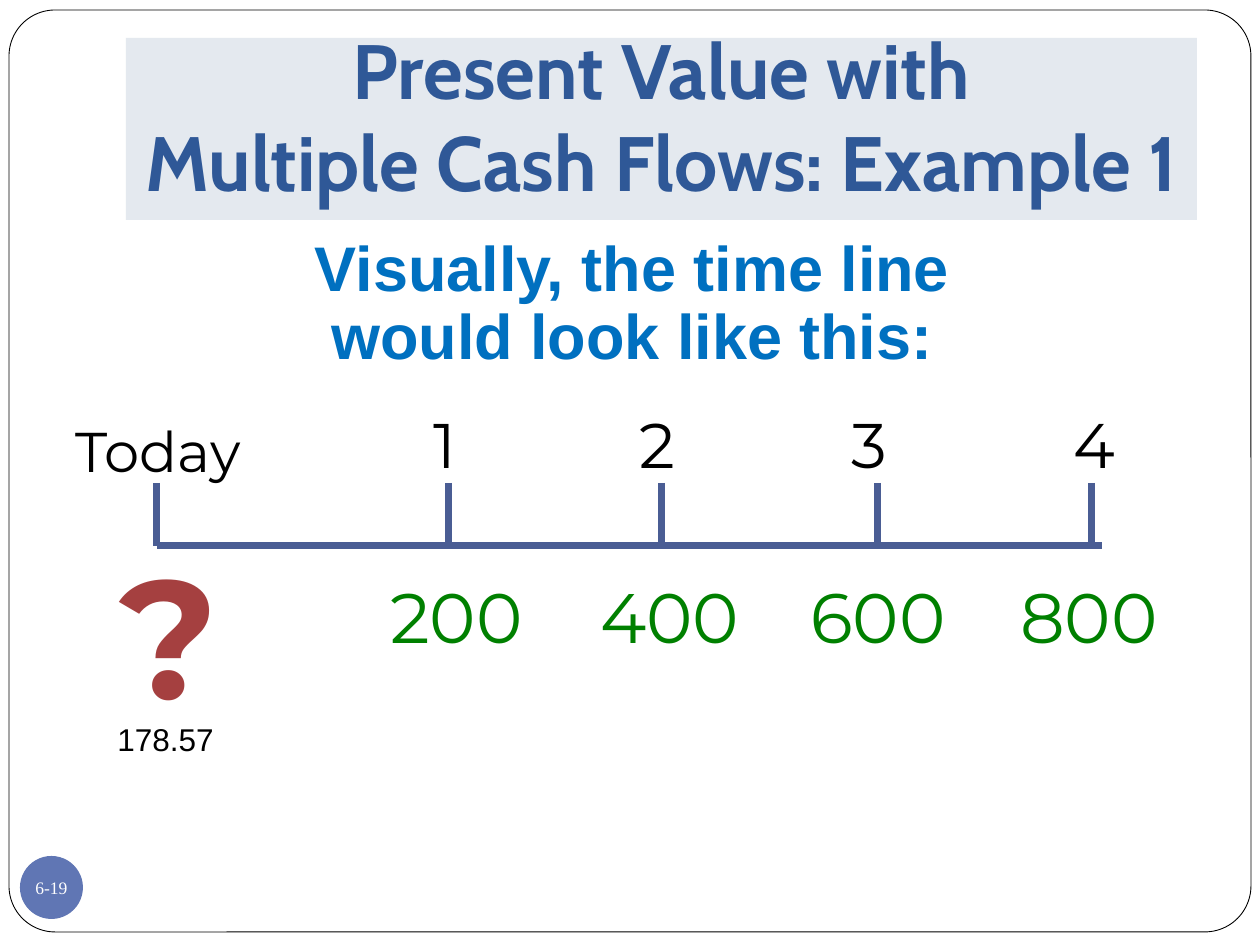
from dataclasses import dataclass

from lxml.etree import SubElement
from pptx import Presentation
from pptx.dml.color import RGBColor
from pptx.enum.shapes import MSO_CONNECTOR, MSO_SHAPE
from pptx.enum.text import MSO_ANCHOR, PP_ALIGN
from pptx.oxml.ns import qn
from pptx.util import Emu, Pt

PX_PER_INCH = 126
BLACK, WHITE, NAVY, GREEN = "000000", "FFFFFF", "4A5D94", "008000"
AXIS_LEFT, AXIS_RIGHT, AXIS_Y, TICK_TOP = 157, 1102, 546, 483


@dataclass
class Label:
    text: str
    left: int
    top: int
    width: int
    height: int
    size: int
    color: str
    font: str = "Montserrat"
    bold: bool = False
    align: PP_ALIGN = PP_ALIGN.LEFT
    spacing: float = 1.0


@dataclass
class Period:
    name: str
    tick: int
    name_left: int
    name_width: int
    cash: str
    cash_left: int
    cash_width: int


PERIODS = [
    Period("1", 449, 421, 68, "200", 378, 168),
    Period("2", 662, 627, 73, "400", 588, 168),
    Period("3", 878, 839, 84, "600", 798, 189),
    Period("4", 1092, 1061, 68, "800", 1008, 179),
]


def px(length: int) -> Emu:
    return Emu(round(length * 914400 / PX_PER_INCH))


def rgb(color: str) -> RGBColor:
    return RGBColor.from_string(color)


def write(frame, label: Label) -> None:
    frame.text = label.text
    for paragraph in frame.paragraphs:
        paragraph.alignment = label.align
        paragraph.line_spacing = label.spacing
        for run in paragraph.runs:
            run.font.name = label.font
            run.font.size = Pt(label.size)
            run.font.bold = label.bold
            run.font.color.rgb = rgb(label.color)


def add_label(slide, label: Label):
    box = slide.shapes.add_textbox(
        px(label.left), px(label.top), px(label.width), px(label.height))
    box.text_frame.word_wrap = True
    write(box.text_frame, label)
    return box


def add_panel(slide, kind: MSO_SHAPE, left: int, top: int, width: int,
              height: int, fill: str):
    panel = slide.shapes.add_shape(kind, px(left), px(top), px(width), px(height))
    panel.shadow.inherit = False
    panel.fill.solid()
    panel.fill.fore_color.rgb = rgb(fill)
    panel.line.fill.background()
    return panel


def add_line(slide, x1: int, y1: int, x2: int, y2: int) -> None:
    line = slide.shapes.add_connector(
        MSO_CONNECTOR.STRAIGHT, px(x1), px(y1), px(x2), px(y2))
    line.line.color.rgb = rgb(NAVY)
    line.line.width = Pt(4)
    SubElement(line._element.spPr, qn("a:effectLst"))


def add_frame(slide) -> None:
    border = add_panel(slide, MSO_SHAPE.ROUNDED_RECTANGLE, 9, 10, 1242, 922, WHITE)
    border.adjustments[0] = 0.05
    border.line.color.rgb = rgb(BLACK)
    border.line.width = Pt(0.5)


def add_page_number(slide) -> None:
    badge = add_panel(slide, MSO_SHAPE.OVAL, 20, 856, 63, 63, "6076B4")
    frame = badge.text_frame
    frame.margin_left = frame.margin_right = frame.margin_top = frame.margin_bottom = 0
    frame.word_wrap = False
    frame.vertical_anchor = MSO_ANCHOR.MIDDLE
    write(frame, Label("6-19", 20, 856, 63, 63, 10, WHITE, "Times New Roman",
                       align=PP_ALIGN.CENTER))


def add_title(slide) -> None:
    title = add_label(slide, Label(
        "Present Value with\vMultiple Cash Flows: Example 1", 126, 38, 1071, 182,
        44, "2F5897", "Cabin", True, PP_ALIGN.CENTER))
    title.fill.solid()
    title.fill.fore_color.rgb = rgb("E4E9EF")
    title.text_frame.vertical_anchor = MSO_ANCHOR.BOTTOM
    title.text_frame.margin_bottom = px(13)


def add_timeline(slide) -> None:
    add_line(slide, AXIS_LEFT, AXIS_Y, AXIS_RIGHT, AXIS_Y)
    for tick in [AXIS_LEFT] + [period.tick for period in PERIODS]:
        add_line(slide, tick, TICK_TOP, tick, AXIS_Y)
    add_label(slide, Label("Today", 63, 410, 220, 81, 32, BLACK))
    for period in PERIODS:
        add_label(slide, Label(period.name, period.name_left, 399,
                               period.name_width, 89, 36, BLACK))
        add_label(slide, Label(period.cash, period.cash_left, 567,
                               period.cash_width, 97, 40, GREEN))


def main() -> None:
    deck = Presentation()
    deck.slide_width, deck.slide_height = px(1260), px(945)
    slide = deck.slides.add_slide(deck.slide_layouts[6])
    add_frame(slide)
    add_page_number(slide)
    add_title(slide)
    add_label(slide, Label(
        "Visually, the time line \nwould look like this: ", 53, 231, 1176, 150,
        36, "0070C0", "Arial", True, PP_ALIGN.CENTER, 0.9))
    add_timeline(slide)
    add_label(slide, Label("?", 105, 525, 129, 217, 96, "A54040", bold=True,
                           align=PP_ALIGN.CENTER))
    add_label(slide, Label("178.57", 105, 714, 176, 50, 18, BLACK, "Arial"))
    deck.save("out.pptx")


if __name__ == "__main__":
    main()
